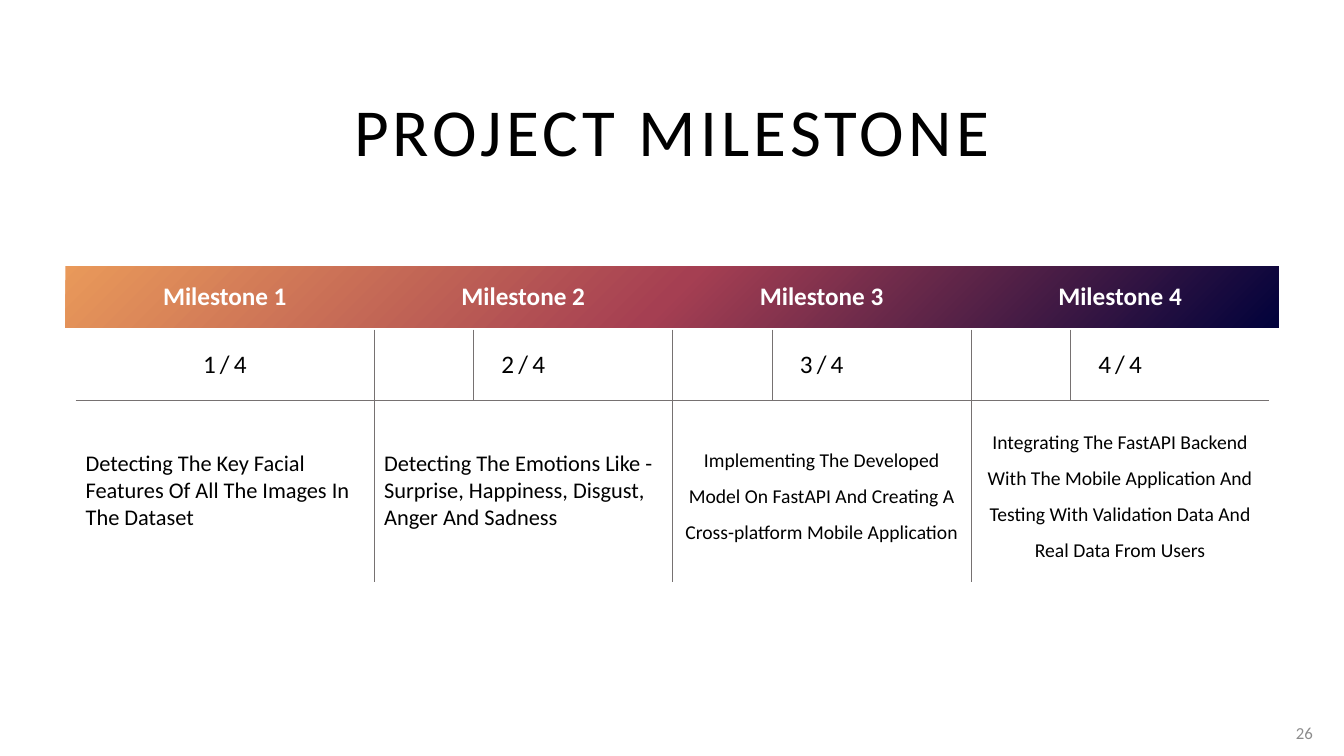
from lxml import etree
from pptx import Presentation
from pptx import util as u
from pptx.dml.color import RGBColor
from pptx.enum import shapes, text
from pptx.oxml import ns

COLORS = {
    "black": "000000",
    "white": "FFFFFF",
    "rule": "767171",
    "number": "8C8C8C",
}
BANNER_STOPS = [(0, "01023B"), (50, "A53F52"), (100, "E9995A")]
NO_GRID_STYLE = "{2D5ABB26-0587-4C30-8999-92F81FD0307C}"
SPAN = 3
CENTER = text.PP_ALIGN.CENTER
LEFT = text.PP_ALIGN.LEFT
MILESTONES = [
    ("Detecting The Key Facial Features Of All The Images In The Dataset",
     16, LEFT, 1.0),
    ("Detecting The Emotions Like - Surprise, Happiness, Disgust, Anger And Sadness",
     16, LEFT, 1.0),
    ("Implementing The Developed Model On FastAPI And Creating A "
     "Cross-platform Mobile Application", 14, CENTER, 1.5),
    ("Integrating The FastAPI Backend With The Mobile Application And "
     "Testing With Validation Data And Real Data From Users", 14, CENTER, 1.5),
]


def add_child(parent, tag, **attributes):
    return etree.SubElement(parent, ns.qn(tag), **attributes)


def write(frame, words, size, color, align, bold=False, spacing=0, line=1.0):
    frame.text = words
    para = frame.paragraphs[0]
    para.alignment = align
    para.line_spacing = line
    span = para.runs[0]
    span.font.name = "Calibri"
    span.font.size = u.Pt(size)
    span.font.bold = bold
    span.font.color.rgb = RGBColor.from_string(COLORS[color])
    if spacing:
        span.font._element.set("spc", str(spacing * 100))


def place(shape, left, top, width, height):
    shape.left, shape.top = u.Inches(left), u.Inches(top)
    shape.width, shape.height = u.Inches(width), u.Inches(height)


def add_banner(page):
    banner = page.shapes.add_shape(
        shapes.MSO_SHAPE.RECTANGLE, u.Inches(0.65), u.Inches(2.64),
        u.Inches(12.03), u.Inches(0.61))
    banner.shadow.inherit = False
    banner.line.fill.background()
    banner.fill.gradient()
    gradient = banner._element.spPr.find(ns.qn("a:gradFill"))
    for child in list(gradient):
        gradient.remove(child)
    stops = add_child(gradient, "a:gsLst")
    for position, color in BANNER_STOPS:
        stop = add_child(stops, "a:gs", pos=str(position * 1000))
        add_child(stop, "a:srgbClr", val=color)
    circle = add_child(gradient, "a:path", path="circle")
    add_child(circle, "a:fillToRect", l="100000", t="100000")


def add_title(page):
    title = page.shapes.title
    place(title, 0.65, 0.84, 12.03, 0.9)
    write(title.text_frame, "PROJECT MILESTONE", 48, "black", CENTER, spacing=3)
    title.text_frame.vertical_anchor = text.MSO_ANCHOR.MIDDLE


def add_borders(cell, sides):
    properties = cell._tc.get_or_add_tcPr()
    for side in sides:
        line = add_child(properties, "a:ln" + side, w=str(u.Pt(0.25)))
        fill = add_child(line, "a:solidFill")
        add_child(fill, "a:srgbClr", val=COLORS["rule"])


def group_sides(column, width):
    last = len(MILESTONES) * SPAN - 1
    left = "L" if column % SPAN == 0 and column > 0 else ""
    end = column + width - 1
    right = "R" if end % SPAN == SPAN - 1 and end < last else ""
    return left + right


def add_milestones(page):
    count = len(MILESTONES) * SPAN
    frame = page.shapes.add_table(
        3, count, u.Inches(0.75), u.Inches(2.63), u.Inches(11.84), u.Inches(3.14))
    table = frame.table
    table.first_row = table.horz_banding = False
    table._tbl.tblPr.find(ns.qn("a:tableStyleId")).text = NO_GRID_STYLE
    for column in table.columns:
        column.width = int(u.Inches(11.84) / count)
    for row, height in zip(table.rows, (0.64, 0.7, 1.8)):
        row.height = u.Inches(height)

    for column in range(count):
        add_borders(table.cell(1, column), group_sides(column, 1) + "B")
    for index, (words, size, align, line) in enumerate(MILESTONES):
        start = index * SPAN
        header, body = table.cell(0, start), table.cell(2, start)
        for cell in (header, body):
            row = 0 if cell is header else 2
            cell.merge(table.cell(row, start + SPAN - 1))
        add_borders(body, group_sides(start, SPAN) + "T")
        write(header.text_frame, f"Milestone {index + 1}", 18, "white", CENTER,
              bold=True)
        write(table.cell(1, start + 1).text_frame, f"{index + 1}/4", 18, "black",
              CENTER, spacing=3)
        write(body.text_frame, words, size, "black", align, line=line)
    for cell in table.iter_cells():
        cell.fill.background()
        cell.vertical_anchor = text.MSO_ANCHOR.MIDDLE


def add_page_number(page):
    box = page.shapes.add_textbox(
        u.Inches(12.63), u.Inches(7.07), u.Inches(0.49), u.Inches(0.4))
    box.text_frame.word_wrap = True
    box.text_frame.vertical_anchor = text.MSO_ANCHOR.MIDDLE
    write(box.text_frame, "26", 12, "number", text.PP_ALIGN.RIGHT)


def main():
    deck = Presentation()
    deck.slide_width, deck.slide_height = u.Inches(13.33), u.Inches(7.5)
    page = deck.slides.add_slide(deck.slide_layouts[5])
    add_banner(page)
    add_title(page)
    add_milestones(page)
    add_page_number(page)
    deck.save("out.pptx")


if __name__ == "__main__":
    main()
